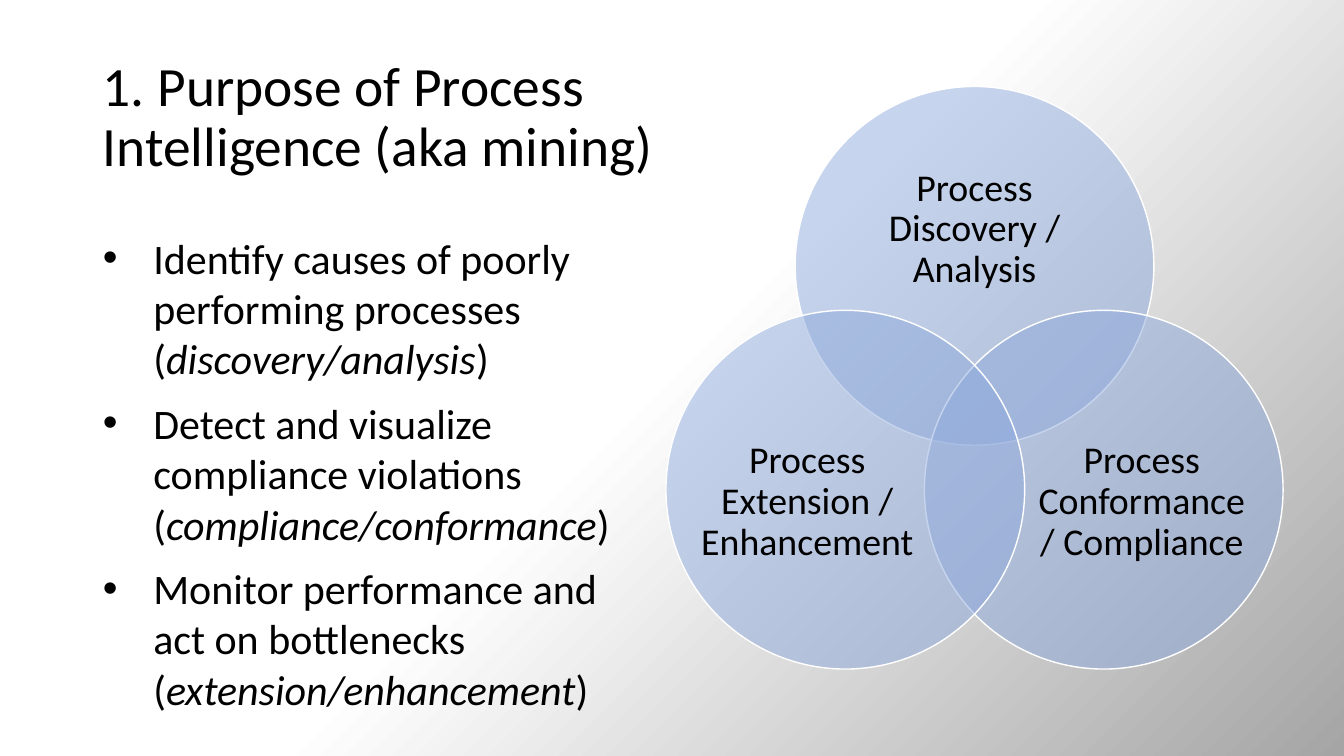
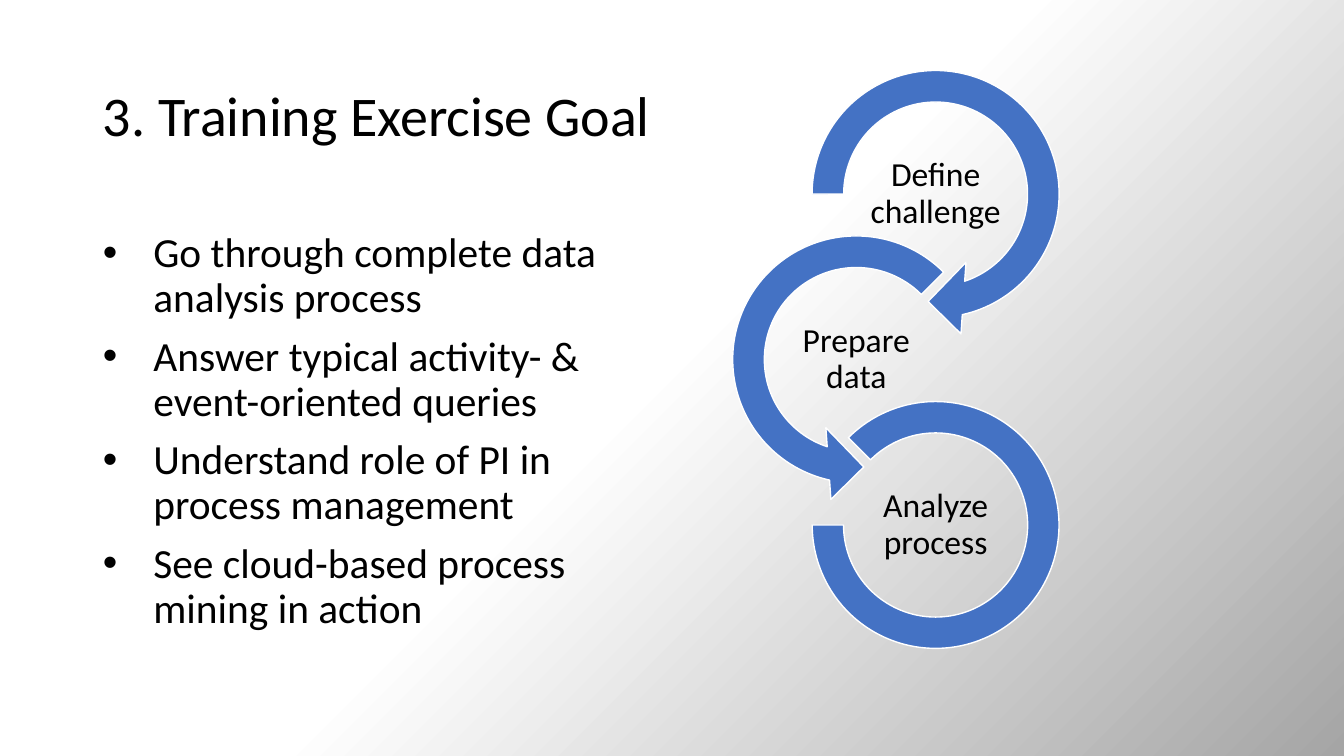
import math
from copy import deepcopy

from lxml import etree
from pptx import Presentation
from pptx.dml.color import RGBColor
from pptx.enum import shapes, text
from pptx.oxml.ns import qn
from pptx.util import Cm, Pt

BLACK, WHITE, GREY = "000000", "FFFFFF", "A5A5A5"
BLUE, PALE_BLUE = "4472C4", "8FAADC"
FONT = "Calibri"
LEFT = 2.34
SHAPE = shapes.MSO_SHAPE


def colour(value):
    return RGBColor.from_string(value)


def apply(target, values):
    for name, value in values.items():
        setattr(target, name, value)


class Deck:
    def __init__(self):
        self.prs = Presentation()
        apply(self.prs, {"slide_width": Cm(33.87), "slide_height": Cm(19.05)})
        self.slide = None
        self.background([(0, WHITE), (0.49, WHITE), (1, GREY)])

    def background(self, stops):
        master = self.prs.slide_master
        fill = master.background.fill
        fill.gradient()
        fill.gradient_angle = 315
        stop_list = master.element.find(".//" + qn("p:bgPr")).find(".//" + qn("a:gsLst"))
        while len(stop_list) < len(stops):
            stop_list.append(deepcopy(stop_list[-1]))
        for stop, (position, shade) in zip(fill.gradient_stops, stops):
            stop.position = position
            stop.color.rgb = colour(shade)

    def add_slide(self):
        self.slide = self.prs.slides.add_slide(self.prs.slide_layouts[1])

    def place(self, shape, *box):
        apply(shape, dict(zip(("left", "top", "width", "height"), map(Cm, box))))

    def add_words(self, paragraph, words, size, italic=False):
        run = paragraph.add_run()
        run.text = words
        apply(run.font, {"name": FONT, "size": Pt(size), "italic": italic})
        run.font.color.rgb = colour(BLACK)

    def title(self, words, size, width, height):
        title = self.slide.shapes.title
        self.place(title, LEFT, 1.27, width, height)
        frame = title.text_frame
        apply(frame, {"word_wrap": True, "auto_size": text.MSO_AUTO_SIZE.NONE,
                      "vertical_anchor": text.MSO_ANCHOR.BOTTOM})
        paragraph = frame.paragraphs[0]
        apply(paragraph, {"alignment": text.PP_ALIGN.LEFT, "line_spacing": 0.9})
        self.add_words(paragraph, words, size)

    def bullets(self, items, size, width, spacing):
        body = self.slide.placeholders[1]
        self.place(body, LEFT, 5.72, width, 10.59)
        frame = body.text_frame
        apply(frame, {"word_wrap": True, "auto_size": text.MSO_AUTO_SIZE.NONE,
                      "vertical_anchor": text.MSO_ANCHOR.TOP})
        for index, runs in enumerate(items):
            paragraph = frame.add_paragraph() if index else frame.paragraphs[0]
            apply(paragraph, {"line_spacing": spacing, "space_before": Pt(10)})
            properties = paragraph._p.get_or_add_pPr()
            properties.set("marL", str(Cm(1.27)))
            properties.set("indent", str(-Cm(1.27)))
            etree.SubElement(properties, qn("a:buFont"), typeface="Arial")
            etree.SubElement(properties, qn("a:buChar"), char="•")
            for words, italic in runs:
                self.add_words(paragraph, words, size, italic)

    def figure(self, kind, x, y, size, fill, adjustments=(), opacity=None):
        figure = self.slide.shapes.add_shape(
            kind, Cm(x - size / 2), Cm(y - size / 2), Cm(size), Cm(size))
        figure.shadow.inherit = False
        figure.fill.solid()
        figure.fill.fore_color.rgb = colour(fill)
        figure.line.color.rgb = colour(WHITE)
        figure.line.width = Pt(1)
        for index, value in enumerate(adjustments):
            figure.adjustments[index] = value
        if opacity is not None:
            shade = figure._element.spPr.find(qn("a:solidFill")).find(qn("a:srgbClr"))
            etree.SubElement(shade, qn("a:alpha"), val=str(opacity * 1000))

    def label(self, words, x, y, width, height, size, margin=0):
        frame = self.slide.shapes.add_textbox(
            Cm(x - width / 2), Cm(y - height / 2), Cm(width), Cm(height)).text_frame
        apply(frame, {"word_wrap": True, "vertical_anchor": text.MSO_ANCHOR.MIDDLE})
        apply(frame, {"margin_" + side: Cm(margin)
                      for side in ("left", "top", "right", "bottom")})
        paragraph = frame.paragraphs[0]
        apply(paragraph, {"alignment": text.PP_ALIGN.CENTER, "line_spacing": 0.9})
        self.add_words(paragraph, words, size)


def purpose_slide(deck):
    deck.add_slide()
    deck.title("1. Purpose of Process Intelligence (aka mining)", 39.6, 15.06, 3.35)
    purposes = [
        ("Identify causes of poorly performing processes (", "discovery/analysis"),
        ("Detect and visualize compliance violations (", "compliance/conformance"),
        ("Monitor performance and act on bottlenecks (", "extension/enhancement"),
    ]
    deck.bullets([[(purpose, False), (field, True), (")", False)]
                  for purpose, field in purposes], 30, 13.36, 1.0)
    fields = [
        ("Process Discovery / Analysis", -90, 0, -0.91, 6.63, 4.06),
        ("Process Conformance / Compliance", 30, 0.96, 0.31, 5.42, 4.98),
        ("Process Extension / Enhancement", 150, -0.96, 0.31, 5.42, 4.98),
    ]
    for name, degrees, shift_x, shift_y, width, height in fields:
        x = 24.56 + 3.76 * math.cos(math.radians(degrees))
        y = 10.46 + 3.76 * math.sin(math.radians(degrees))
        deck.figure(SHAPE.OVAL, x, y, 9.04, PALE_BLUE, opacity=50)
        deck.label(name, x + shift_x, y + shift_y, width, height, 27)


def goal_slide(deck):
    deck.add_slide()
    deck.title("3. Training Exercise Goal", 40, 14.6, 2.59)
    goals = [
        "Go through complete data analysis process",
        "Answer typical activity- & event-oriented queries",
        "Understand role of PI in process management",
        "See cloud-based process mining in action",
    ]
    deck.bullets([[(goal, False)] for goal in goals], 29.6, 13.56, 0.9)
    steps = [
        ("Define challenge", SHAPE.CIRCULAR_ARROW, 23.58, 7.24,
         (0.11, 11.42, 45, 108, 0.125)),
        ("Prepare data", SHAPE.LEFT_CIRCULAR_ARROW, 21.58, 7.24,
         (0.11, 11.42, 63, 189, 0.125)),
        ("Analyze process", SHAPE.BLOCK_ARC, 23.58, 6.22, (135, 108, 0.127)),
    ]
    for index, (name, kind, x, size, adjustments) in enumerate(steps):
        y = 4.89 + 4.17 * index
        deck.figure(kind, x, y, size, BLUE, adjustments)
        deck.label(name, x, y, 4.01, 2.01, 24, 0.05)


def main():
    deck = Deck()
    purpose_slide(deck)
    goal_slide(deck)
    deck.prs.save("out.pptx")


if __name__ == "__main__":
    main()
